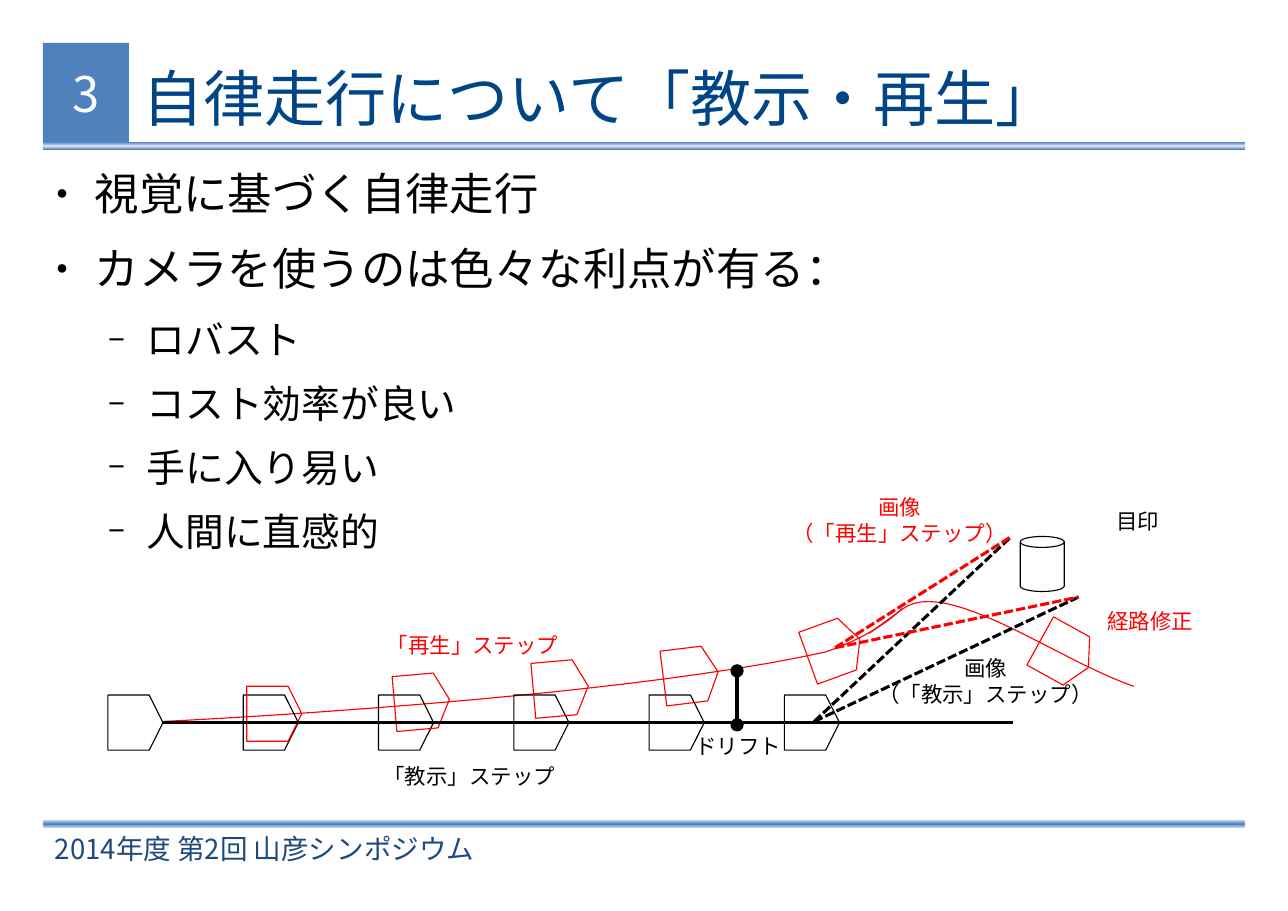
from copy import deepcopy
from lxml.etree import SubElement
from pptx import Presentation
from pptx.dml.color import RGBColor
from pptx.enum.dml import MSO_LINE
from pptx.enum.shapes import MSO_CONNECTOR, MSO_SHAPE
from pptx.enum.text import MSO_ANCHOR, PP_ALIGN
from pptx.oxml.ns import qn
from pptx.util import Inches, Pt

WIDE, HIGH = 11.69, 8.27
LEFT, SPAN = 0.39, 10.91
BLUE, PALE, NAVY, TITLE = "4F81BD", "DAE1F8", "1F497D", "004586"
BLACK, RED, WHITE = "000000", "FF0000", "FFFFFF"
NOTO = "Noto Sans CJK JP"


def paint(target, color):
    """Give a fill or line a solid colour."""
    target.fill.solid()
    target.fill.fore_color.rgb = RGBColor.from_string(color)


def write(frame, text, size, color, font="Times New Roman", east="Arial",
          align=PP_ALIGN.LEFT, anchor=MSO_ANCHOR.TOP, wrap=False,
          inset=(0.1, 0.05), bullets=None):
    """Fill a text frame, one paragraph for each line of text."""
    frame.word_wrap, frame.vertical_anchor = wrap, anchor
    frame.margin_left = frame.margin_right = Inches(inset[0])
    frame.margin_top = frame.margin_bottom = Inches(inset[1])
    for row, line in enumerate(text.split("\n")):
        para = frame.add_paragraph() if row else frame.paragraphs[0]
        para.alignment = align
        points = size
        if bullets:
            points = bullet(para, *bullets[row])
        run = para.add_run()
        run.text = line
        run.font.name, run.font.size = font, Pt(points)
        run.font.color.rgb = RGBColor.from_string(color)
        SubElement(run.font._element, qn("a:ea"), typeface=east)


def bullet(para, level, sign, share, points, after):
    """Format a bulleted paragraph and return its text size."""
    para.level, para.space_after, para.line_spacing = level, Pt(after), 1.04
    props = para._p.get_or_add_pPr()
    props.set("marL", str(Inches(0.47 * (level + 1))))
    props.set("indent", str(Inches(-0.35)))
    tint = SubElement(props, qn("a:buClr"))
    SubElement(tint, qn("a:srgbClr"), val=BLACK)
    SubElement(props, qn("a:buSzPct"), val=str(share * 1000))
    SubElement(props, qn("a:buFont"), typeface="Arial")
    SubElement(props, qn("a:buChar"), char=sign)
    return points


def label(slide, box, text, size=14, color=BLACK, **form):
    """Add a text box."""
    area = slide.shapes.add_textbox(*map(Inches, box))
    write(area.text_frame, text, size, color, **form)


def block(slide, kind, box, fill=None, edge=None, turn=0):
    """Add a preset shape with a plain fill or a hairline edge."""
    shape = slide.shapes.add_shape(kind, *map(Inches, box))
    shape.shadow.inherit = False
    shape.rotation = turn
    if fill:
        paint(shape, fill)
    else:
        shape.fill.background()
    if edge:
        paint(shape.line, edge)
        shape.line.width = 0
    else:
        shape.line.fill.background()
    return shape


def rule(slide, box, rim, core):
    """Add a bar that fades from its rims to its core."""
    bar = block(slide, MSO_SHAPE.RECTANGLE, box, rim)
    bar.fill.gradient()
    bar.fill.gradient_angle = 90
    stops = bar._element.spPr.find(".//" + qn("a:gsLst"))
    stops.append(deepcopy(stops[0]))
    for stop, color, spot in zip(bar.fill.gradient_stops, (rim, core, rim), (0, 0.5, 1)):
        stop.color.rgb = RGBColor.from_string(color)
        stop.position = spot


def link(slide, start, end, color=BLACK, width=0, dash=False, cap=None, tie=None):
    """Add a straight line, with optional dashes, end caps and a joined start."""
    line = slide.shapes.add_connector(MSO_CONNECTOR.STRAIGHT, *map(Inches, start + end))
    if tie:
        line.begin_connect(tie, 3)
    paint(line.line, color)
    line.line.width = Pt(width)
    if dash:
        line.line.dash_style = MSO_LINE.SQUARE_DOT
    if cap:
        for name in ("a:headEnd", "a:tailEnd"):
            SubElement(line.line._ln, qn(name), type=cap)
    SubElement(line._element.spPr, qn("a:effectLst"))


def bend(a, b, c, d, steps=24):
    """Return the points of a cubic curve."""
    marks = [n / steps for n in range(steps + 1)]
    return [tuple((1 - t) ** 3 * p + 3 * t * (1 - t) ** 2 * q + 3 * t * t * (1 - t) * r
                  + t ** 3 * s for p, q, r, s in zip(a, b, c, d)) for t in marks]


def trail(slide, points, color):
    """Draw an open hairline through the points."""
    dots = [(Inches(x), Inches(y)) for x, y in points]
    pen = slide.shapes.build_freeform(*dots[0], scale=1.0)
    pen.add_line_segments(dots[1:], close=False)
    shape = pen.convert_to_shape()
    shape.shadow.inherit = False
    shape.fill.background()
    paint(shape.line, color)
    shape.line.width = 0


def header(slide, x, y, w, h):
    """Place the page number, the title and the rule below them."""
    rule(slide, (x, y + h, w, 0.07), BLUE, PALE)
    page = block(slide, MSO_SHAPE.RECTANGLE, (x, y, 0.78, h), BLUE)
    mid = dict(anchor=MSO_ANCHOR.MIDDLE, inset=(0, 0), wrap=True)
    write(page.text_frame, "3", 32, WHITE, font=NOTO, east=NOTO, align=PP_ALIGN.CENTER, **mid)
    label(slide, (x + 0.9, y + 0.02, 9.71, 0.95), "自律走行について「教示・再生」",
          39.9, TITLE, font="Arial", **mid)


def footer(slide, x, y, w, h):
    """Place the closing rule and the event name."""
    rule(slide, (x, y, w, 0.08), PALE, BLUE)
    label(slide, (x + 0.01, y + 0.08, 6.69, h - 0.08), "2014年度 第2回 山彦シンポジウム",
          18, NAVY, font=NOTO, east=NOTO, anchor=MSO_ANCHOR.MIDDLE, wrap=True)


def body(slide, x, y, w, h):
    """Place the bullet list."""
    main, sub = (0, "●", 45, 29, 12.8), (1, "−", 75, 25.3, 10.2)
    text = ("視覚に基づく自律走行\nカメラを使うのは色々な利点が有る：\n"
            "ロバスト\nコスト効率が良い\n手に入り易い\n人間に直感的")
    label(slide, (x, y, w, h), text, font="Arial", inset=(0, 0), wrap=True,
          bullets=[main] * 2 + [sub] * 4)


def drive(slide, x, y, w, h):
    """Draw the taught path, the replayed path and the landmark."""
    def at(a, b):
        return x + a, y + b

    side, step, row = 0.5, 1.228, 1.87
    trail(slide, bend(at(0.5, 2.11), at(0.5, 2.11), at(4.52, 1.92), at(6.51, 1.48))
          + bend(at(6.51, 1.48), at(7.01, 1.31), at(7.21, 1.08), at(7.21, 1.08)), RED)
    trail(slide, [at(6.91, 1.31)]
          + bend(at(7.21, 1.09), at(7.61, 0.79), at(8.61, 1.55), at(9.31, 1.79)), RED)
    taught = [(n * step, row, 0, BLACK) for n in range(6)]
    replay = [(1.26, 1.79, 0, RED), (2.6, 1.68, -5, RED), (3.86, 1.56, -5, RED),
              (5.04, 1.44, -7, RED), (6.34, 1.2, -20, RED), (8.43, 1.25, 29, RED)]
    bots = []
    for a, b, turn, color in taught + replay:
        bot = block(slide, MSO_SHAPE.PENTAGON, (*at(a, b), side, side), edge=color, turn=turn)
        bot.adjustments[0] = 0.25
        bots.append(bot)
    link(slide, at(side, row + side / 2), at(8.21, row + side / 2), tie=bots[0])
    block(slide, MSO_SHAPE.CAN, (*at(8.28, 0.43), 0.4, 0.5), edge=BLACK)
    for eye, color in ((at(6.41, 2.11), BLACK), (at(6.6, 1.44), RED)):
        for goal in (at(8.2, 0.43), at(8.81, 0.98)):
            link(slide, eye, goal, color, dash=True)
    link(slide, at(5.71, 1.65), at(5.71, 2.14), width=2.89, cap="oval")
    for a, b, wide, text, color in (
            (6.89, 1.46, 2.15, "画像\n（「教示」ステップ）", BLACK),
            (6.11, 0, 2.15, "画像\n（「再生」ステップ）", RED),
            (2.4, 2.44, 1.76, "「教示」ステップ", BLACK),
            (2.43, 1.25, 1.76, "「再生」ステップ", RED),
            (9.05, 0.12, 0.59, "目印", BLACK),
            (8.97, 1.03, 0.98, "経路修正", RED),
            (5.23, 2.17, 0.98, "ドリフト", BLACK)):
        tall = 0.1 + 0.23 * len(text.split("\n"))
        label(slide, (*at(a, b), wide, tall), text, color=color, align=PP_ALIGN.CENTER)


def main():
    """Build and save the slide."""
    deck = Presentation()
    deck.slide_width, deck.slide_height = Inches(WIDE), Inches(HIGH)
    slide = deck.slides.add_slide(deck.slide_layouts[6])
    header(slide, LEFT, 0.39, SPAN, 0.9)
    footer(slide, LEFT, 7.44, SPAN, 0.44)
    body(slide, LEFT, 1.49, SPAN, 5.95)
    drive(slide, 0.98, 4.44, 9.95, 2.77)
    deck.save("out.pptx")


if __name__ == "__main__":
    main()
